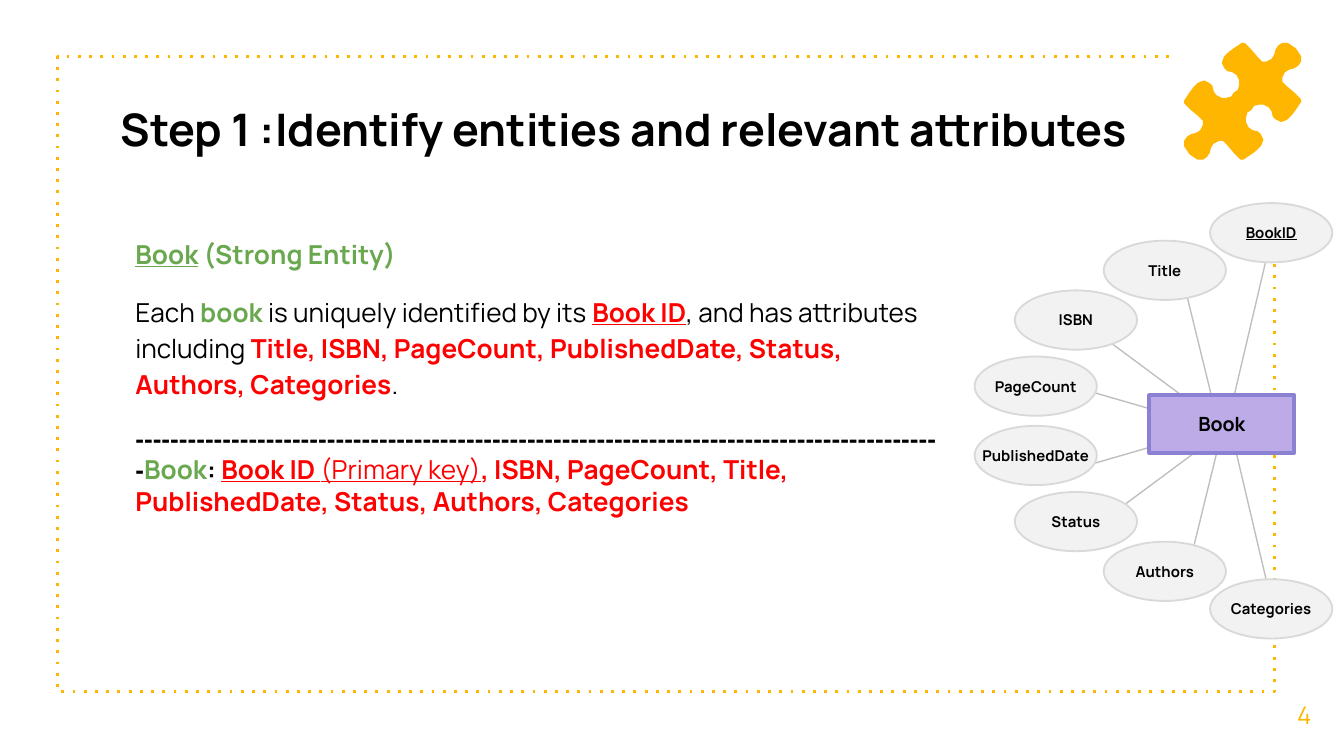
import math
import pptx
import pptx.util
import pptx.dml.color
import pptx.enum.dml
import pptx.enum.shapes
import pptx.enum.text
import lxml.etree

Cm = pptx.util.Cm
Pt = pptx.util.Pt
Align = pptx.enum.text.PP_ALIGN
Anchor = pptx.enum.text.MSO_ANCHOR
Kind = pptx.enum.shapes.MSO_SHAPE
DRAW = "http://schemas.openxmlformats.org/drawingml/2006/main"
GOLD, GREEN, RED, BLACK = "FFB600", "6AA84F", "FF0000", "000000"


def tint(part, color):
    if hasattr(part, "solid"):
        part.solid()
        part = part.fore_color
    elif hasattr(part, "color"):
        part = part.color
    part.rgb = pptx.dml.color.RGBColor.from_string(color)


def style(run, size, color=BLACK, bold=False, under=False, face="Manrope"):
    font = run.font
    font.name, font.size = face, Pt(size)
    font.bold, font.underline = bold, under
    tint(font, color)


def setup(frame, pad, anchor, wrap=True):
    frame.word_wrap = wrap
    frame.auto_size = pptx.enum.text.MSO_AUTO_SIZE.NONE
    frame.vertical_anchor = anchor
    frame.margin_left = frame.margin_right = Cm(pad)
    frame.margin_top = frame.margin_bottom = Cm(pad)


def label(shape, text, align, anchor, pad, wrap, size, **look):
    frame = shape.text_frame
    setup(frame, pad, anchor, wrap)
    frame.text = text
    frame.paragraphs[0].alignment = align
    style(frame.paragraphs[0].runs[0], size, **look)


def edge(shape, color, width):
    tint(shape.line, color)
    shape.line.width = Pt(width)


def draw_frame(slide, left, top, width, height):
    curve = 1.07
    points = [(20.57, 0)]
    corners = [(curve, curve, 270), (curve, height - curve, 180),
               (width - curve, height - curve, 90)]
    for x, y, start in corners:
        for step in range(17):
            turn = math.radians(start - step * 90 / 16)
            points.append((x + curve * math.cos(turn), y + curve * math.sin(turn)))
    points.append((width, 2.64))
    shape = outline(slide, points, left, top, Cm(1), False)
    shape.fill.background()
    edge(shape, GOLD, 1.5)
    shape.line.dash_style = pptx.enum.dml.MSO_LINE.ROUND_DOT
    shape.element.find(".//{%s}prstDash" % DRAW).set("val", "dot")


def outline(slide, points, left, top, scale, close):
    path = slide.shapes.build_freeform(*points[0], scale=scale)
    path.add_line_segments(points[1:], close=close)
    shape = path.convert_to_shape(Cm(left), Cm(top))
    shape.shadow.inherit = False
    return shape


def draw_puzzle(slide, left, top, side):
    grid = 87
    part = [(83, 4), (80, 2), (77, 0), (73, 0), (70, 2), (68, 5), (67, 9),
            (65, 12), (61, 14), (58, 14), (55, 11), (50, 5), (47, 2), (45, 0),
            (43, 0), (40, 2), (37, 4), (33, 7), (30, 10), (29, 12), (28, 15),
            (29, 17), (30, 19), (32, 21), (36, 22), (39, 24), (41, 28),
            (41, 31), (40, 35), (37, 37)]
    half = part + [(y, x) for x, y in reversed(part)]
    whole = half + [(grid - x, grid - y) for x, y in half]
    shape = outline(slide, whole, left, top, Cm(side) / grid, True)
    tint(shape.fill, GOLD)
    shape.line.fill.background()


def place(shape, left, top, width, height):
    shape.left, shape.top = Cm(left), Cm(top)
    shape.width, shape.height = Cm(width), Cm(height)


def add_title(slide, *box):
    title = slide.shapes.title
    place(title, *box)
    label(title, "Step 1 :Identify entities and relevant attributes",
          Align.LEFT, Anchor.TOP, 0.25, True, 24, bold=True)


def add_body(slide, *box):
    frame = slide.shapes.add_textbox(*map(Cm, box)).text_frame
    setup(frame, 0.25, Anchor.MIDDLE)
    key = dict(color=RED, bold=True)
    name = dict(color=GREEN, bold=True)
    texts = [
        (1.15, [("Book", dict(name, under=True)), (" (Strong Entity)", name)]),
        (1.15, [("Each ", {}), ("book", name),
                (" is uniquely identified by its ", {}),
                ("Book ID", dict(key, under=True)),
                (", and has attributes including ", {}),
                ("Title, ISBN, PageCount, PublishedDate, Status, "
                 "Authors, Categories", key), (".", {})]),
        (1.0, [("-" * 93, dict(bold=True, face="Arial")), ("Book", name),
               (": ", dict(bold=True)), ("Book ID ", dict(key, under=True)),
               ("(Primary key)", dict(color=RED, under=True)),
               (", ISBN, PageCount, Title, PublishedDate, Status, "
                "Authors, Categories", key)]),
    ]
    for index, (space, runs) in enumerate(texts):
        para = frame.add_paragraph() if index else frame.paragraphs[0]
        para.line_spacing, para.space_before = space, Pt(12)
        for text, look in runs:
            run = para.add_run()
            run.text = text
            style(run, 14, **look)


def add_line(slide, *ends):
    line = slide.shapes.add_connector(
        pptx.enum.shapes.MSO_CONNECTOR.STRAIGHT, *map(Cm, ends))
    edge(line, "BFBFBF", 0.75)
    props = line.element.spPr
    lxml.etree.SubElement(props, "{%s}effectLst" % DRAW)


def add_node(slide, kind, box, text, size, fill, rim, width, under=False):
    node = slide.shapes.add_shape(kind, *map(Cm, box))
    node.shadow.inherit = False
    tint(node.fill, fill)
    edge(node, rim, width)
    label(node, text, Align.CENTER, Anchor.MIDDLE, 0, False, size,
          bold=True, under=under)


def draw_graph(slide, left, top, height):
    wide, tall = 2.31, 1.12
    flip, shift = 8.48, 0.07
    rows = [
        ("BookID", "Categories", 4.45, 0, (4.8, 4.08), (5.63, 0.55)),
        ("Title", "Authors", 2.44, 0.71, (4.57, 4.03), (3.96, 1.54)),
        ("ISBN", "Status", 0.76, 1.65, (5, 4.44), (2.33, 2.46)),
        ("PageCount", "PublishedDate", 0, 2.9, (3.91, 4.06), (1.7, 3.42)),
    ]
    for *_, (x1, y1), (x2, y2) in rows:
        add_line(slide, left + x1, top + y1, left + x2, top + y2)
        add_line(slide, left + x1 + shift, top + flip - y1,
                 left + x2 + shift, top + flip - y2)
    add_node(slide, Kind.RECTANGLE, (left + 3.3, top + 3.63, 2.74, 1.09),
             "Book", 10.5, "BCABE7", "8B81D2", 2)
    for upper, lower, x, y, *_ in rows:
        for text, down in ((upper, y), (lower, height - tall - y)):
            add_node(slide, Kind.OVAL, (left + x, top + down, wide, tall),
                     text, 8, "F2F2F2", "D9D9D9", 1, text == "BookID")


def add_number(slide, *box):
    label(slide.shapes.add_textbox(*map(Cm, box)), "4", Align.CENTER,
          Anchor.MIDDLE, 0.25, True, 13, color=GOLD)


def main():
    deck = pptx.Presentation()
    deck.slide_width, deck.slide_height = Cm(25.4), Cm(14.29)
    slide = deck.slides.add_slide(deck.slide_layouts[5])
    draw_frame(slide, 1.09, 1.07, 23.22, 12.17)
    add_title(slide, 2.03, 1.68, 19.86, 2.39)
    draw_puzzle(slide, 22.38, 0.81, 2.21)
    add_body(slide, 2.31, 2.97, 15.75, 8.23)
    draw_graph(slide, 18.42, 3.84, 8.23)
    add_number(slide, 23.9, 12.75, 1.5, 1.52)
    deck.save("out.pptx")


if __name__ == "__main__":
    main()
